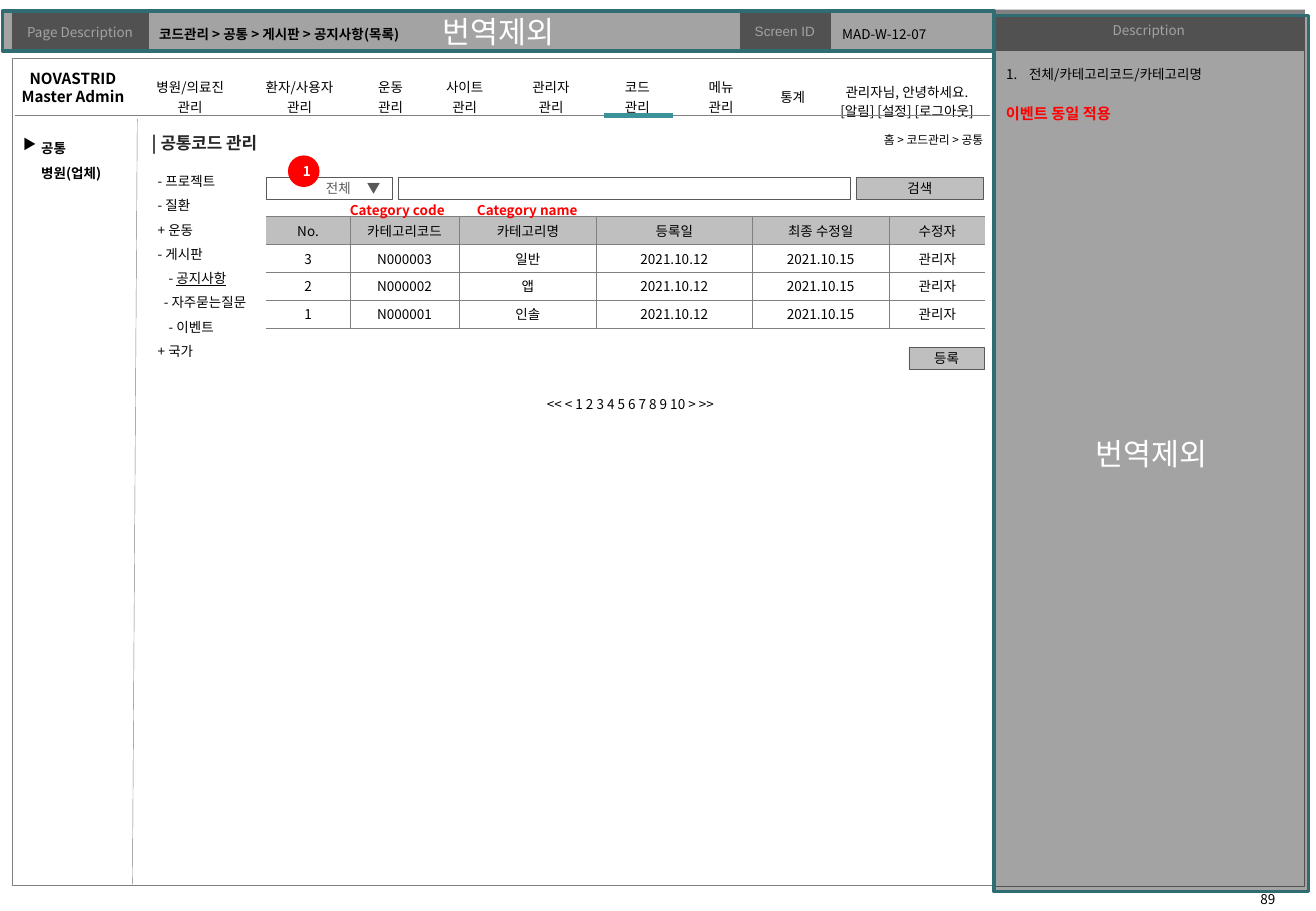
from lxml.etree import SubElement
from pptx import Presentation
from pptx.dml.color import RGBColor
from pptx.enum.shapes import MSO_CONNECTOR, MSO_SHAPE
from pptx.enum.text import MSO_ANCHOR, MSO_AUTO_SIZE, PP_ALIGN
from pptx.oxml.ns import qn
from pptx.util import Inches, Pt

HUES = {"black": "000000", "white": "FFFFFF", "gray": "808080",
        "light": "BFBFBF", "dark": "595959", "ink": "262626",
        "red": "FF0000", "teal": "2F6D72", "mark": "3B9399"}
HUES = {name: RGBColor.from_string(hue) for name, hue in HUES.items()}
FACE = "Noto Sans CJK KR"
LEFT, MID, RIGHT = PP_ALIGN.LEFT, PP_ALIGN.CENTER, PP_ALIGN.RIGHT

deck = Presentation()
deck.slide_width, deck.slide_height = Inches(10.83), Inches(7.5)
slide = deck.slides.add_slide(deck.slide_layouts[3])
shapes = slide.shapes


def write(frame, lines, hue="black", align=LEFT, gap=None, **style):
    """Fill a frame; a line is a string or a list of (text, format) runs."""
    style = {"name": FACE, "size": Pt(8), "bold": False} | style
    for i, line in enumerate(lines):
        para = frame.add_paragraph() if i else frame.paragraphs[0]
        para.alignment = align
        if gap:
            para.line_spacing = gap
        for text, extra in [(line, {})] if isinstance(line, str) else line:
            run = para.add_run()
            run.text = text
            for key, val in (style | extra).items():
                setattr(run.font, key, val)
            run.font.color.rgb = HUES[hue]
            SubElement(run.font._element, qn("a:ea")).set(
                "typeface", style["name"])


def draw(at, lines=(), fill=None, line=None, kind=MSO_SHAPE.RECTANGLE,
         width=0.25, hue="black", align=MID, **style):
    """Add a preset shape with centred text."""
    shape = shapes.add_shape(kind, *map(Inches, at))
    shape.shadow.inherit = False
    if fill:
        shape.fill.solid()
        shape.fill.fore_color.rgb = HUES[fill]
    else:
        shape.fill.background()
    if line:
        shape.line.color.rgb = HUES[line]
        shape.line.width = Pt(width)
    else:
        shape.line.fill.background()
    frame = shape.text_frame
    frame.margin_top = frame.margin_bottom = 0
    frame.vertical_anchor = MSO_ANCHOR.MIDDLE
    write(frame, lines, hue, align, **style)
    return shape


# Tables: place, row height, column widths, side margin, edges, rows
DATES = ["2021.10.12", "2021.10.15", "관리자"]
head = [["Page Description", "", "Screen ID", ""]]
menu = [[f"{part}\n관리" for part in
         ("병원/의료진", "환자/사용자", "운동", "사이트", "관리자", "코드", "메뉴")]
        + ["통계", "관리자님, 안녕하세요.\n[알림] [설정] [로그아웃]"]]
codes = [["No.", "카테고리코드", "카테고리명", "등록일", "최종 수정일", "수정자"]]
codes += [[str(n), f"N00000{n}", name, *DATES]
          for n, name in ((3, "일반"), (2, "앱"), (1, "인솔"))]
TABLES = [
    ((0.1, 0.09), 0.32, (1.12, 4.87, 0.74, 1.35), 0.04, "all", head),
    ((1.14, 0.54), 0.41,
     (0.85, 0.95, 0.55, 0.67, 0.75, 0.67, 0.71, 0.47, 1.41), 0.1, "", menu),
    ((2.19, 1.78), 0.23, (0.69, 0.9, 1.13, 1.28, 1.13, 0.79), 0.1,
     "inner", codes),
]
for (x, y), high, cols, side, edges, rows in TABLES:
    grid = shapes.add_table(len(rows), len(cols), Inches(x), Inches(y),
                            Inches(sum(cols)), Inches(high * len(rows))).table
    grid.first_row = grid.horz_banding = False
    grid._tbl.tblPr.find(qn("a:tableStyleId")).text = \
        "{2D5ABB26-0587-4C30-8999-92F81FD0307C}"
    for col, wide in zip(grid.columns, cols):
        col.width = Inches(wide)
    for r, row in enumerate(rows):
        grid.rows[r].height = Inches(high)
        for c, text in enumerate(row):
            cell = grid.cell(r, c)
            cell.vertical_anchor = MSO_ANCHOR.MIDDLE
            cell.margin_left = cell.margin_right = Inches(side)
            cell.margin_top = cell.margin_bottom = Inches(0.03)
            if rows is menu:
                last = c == len(cols) - 1
                cell.margin_top = Inches(0.05 if last else 0)
                cell.margin_bottom = Inches(0 if last else 0.03)
            fill, hue = None, "black"
            if rows is head:
                fill, hue = ("gray" if text else "white"), "white"
            elif rows is codes and r == 0:
                fill = "light"
            if fill:
                cell.fill.solid()
                cell.fill.fore_color.rgb = HUES[fill]
            else:
                cell.fill.background()
            write(cell.text_frame, text.split("\n"), hue, MID,
                  name="Arial" if text == "Screen ID" else FACE)
            sides = "LRTB" if edges else ""
            if edges == "inner":
                sides = sides.replace("L" if c == 0 else "-", "")
                sides = sides.replace("R" if c == len(cols) - 1 else "-", "")
            props = cell._tc.get_or_add_tcPr()
            for i, edge in enumerate(sides):
                ln = SubElement(props, qn(f"a:ln{edge}"), w=str(Pt(0.25)))
                paint = SubElement(ln, qn("a:solidFill"))
                SubElement(paint, qn("a:srgbClr"), val=str(HUES["gray"]))
                props.insert(i, ln)

# Page frames and shaded panels
draw((0.1, 0.48, 8.07, 6.81), line="gray")
draw((8.17, 0.39, 2.56, 6.91), line="gray")
draw((8.17, 0.08, 2.57, 0.34), ["Description"], "gray", hue="white")
for at in ((8.18, 0.13, 2.59, 7.21), (0.02, 0.09, 8.16, 0.33)):
    panel = draw(at, ["번역제외"], "black", "teal", width=2, hue="white",
                 size=Pt(18))
    tint = panel.fill._xPr.find(qn("a:solidFill"))[0]
    SubElement(tint, qn("a:alpha"), val="36000")

# Rules and the mark under the current menu
for x1, y1, x2, y2, hue, width in (
        (1.13, 0.98, 1.09, 7.28, "gray", 0.25),
        (0.12, 0.95, 8.15, 0.95, "gray", 0.25),
        (4.97, 0.95, 5.54, 0.95, "mark", 3)):
    rule = shapes.add_connector(MSO_CONNECTOR.STRAIGHT,
                                *map(Inches, (x1, y1, x2, y2)))
    rule.line.color.rgb = HUES[hue]
    rule.line.width = Pt(width)
    SubElement(rule._element.spPr, qn("a:effectLst"))

# Title, screen number and description list
HOLDERS = [
    (0, (1.27, 0.13, 5.01, 0.3), 0.04, "코드관리 > 공통 > 게시판 > 공지사항(목록)"),
    (1, (6.83, 0.13, 1.3, 0.3), 0.1, "MAD-W-12-07"),
    (2, (8.18, 0.43, 2.55, 6.9), 0.1, "전체/카테고리코드/카테고리명"),
]
for idx, at, side, text in HOLDERS:
    hold = slide.placeholders[idx]
    hold.left, hold.top, hold.width, hold.height = map(Inches, at)
    frame = hold.text_frame
    frame.auto_size = MSO_AUTO_SIZE.NONE
    frame.margin_left = frame.margin_right = Inches(side)
    frame.vertical_anchor = MSO_ANCHOR.TOP if idx == 2 else MSO_ANCHOR.MIDDLE
    write(frame, [text], gap=1.5 if idx == 2 else None, bold=idx == 0)
    props = frame.paragraphs[0]._p.get_or_add_pPr()
    dent = Inches(0.19) if idx == 2 else 0
    props.set("marL", str(dent))
    props.set("indent", str(-dent))
    if idx == 2:
        SubElement(props, qn("a:buAutoNum"), type="arabicPeriod")
    else:
        SubElement(props, qn("a:buNone"))
    shapes._spTree.append(hold._element)

# Search bar, button and marker
pick = draw((2.19, 1.46, 1.04, 0.18), [[("전체", {}), (" ", {}), ("▼", {})]],
            line="dark", hue="dark", align=RIGHT)
pick.text_frame.paragraphs[0].runs[1].font._element.set("spc", "770")
draw((3.28, 1.46, 3.72, 0.18), line="dark")
draw((7.05, 1.46, 1.04, 0.18), ["검색"], "light", "dark")
draw((7.48, 2.86, 0.62, 0.18), ["등록"], "light", "dark")
draw((2.37, 1.28, 0.26, 0.26), ["1"], "red", kind=MSO_SHAPE.OVAL,
     hue="white", bold=True)

# Free texts: place, wrap, margin, lines, format
tree = ["- 프로젝트", "- 질환", "+ 운동", "- 게시판",
        [("- ", {}), ("공지사항", {"underline": True})],
        "- 자주묻는질문", "- 이벤트", "+ 국가"]
note = {"hue": "red", "align": MID, "bold": True}
TEXTS = [
    ((10.02, 7.29, 0.83, 0.2), True, 1, ["89"], {"align": MID}),
    ((0.24, 1.04, 0.73, 0.5), True, 1, ["공통", "병원(업체)"],
     {"gap": 1.5, "bold": True}),
    ((0.01, 0.52, 1.18, 0.4), True, 1, ["NOVASTRID", "Master Admin"],
     {"align": MID, "size": Pt(9), "bold": True}),
    ((0.09, 1.07, 0.31, 0.24), False, 1, ["▶"], {}),
    ((1.15, 1.04, 1.19, 0.27), False, 1, ["| 공통코드 관리"],
     {"hue": "ink", "size": Pt(10), "bold": True}),
    ((1.2, 1.31, 1.03, 1.72), False, 1, tree, {"gap": 1.5}),
    ((8.18, 0.81, 1.17, 0.25), False, 1, ["이벤트 동일 적용"],
     {"hue": "red", "size": Pt(9), "bold": True}),
    ((2.19, 3.21, 6, 0.24), True, 1, ["<< < 1 2 3 4 5 6 7 8 9 10 > >>"],
     {"align": MID}),
    ((7.02, 1.04, 1.17, 0.22), False, 1, ["홈 > 코드관리 > 공통"],
     {"align": RIGHT, "size": Pt(7)}),
    ((3.85, 1.66, 0.98, 0.13), True, 0, ["Category name"], note),
    ((2.78, 1.66, 0.98, 0.13), True, 0, ["Category code"], note),
]
for at, wrap, pad, lines, style in TEXTS:
    frame = shapes.add_textbox(*map(Inches, at)).text_frame
    frame.word_wrap = wrap
    frame.auto_size = MSO_AUTO_SIZE.SHAPE_TO_FIT_TEXT
    frame.margin_left = frame.margin_right = Inches(0.1 * pad)
    frame.margin_top = frame.margin_bottom = Inches(0.05 * pad)
    write(frame, lines, **style)
    if lines is tree:
        for i, dent in ((4, 0.09), (5, 0.05), (6, 0.09)):
            props = frame.paragraphs[i]._p.get_or_add_pPr()
            props.set("marL", str(Inches(dent)))

deck.save("out.pptx")
